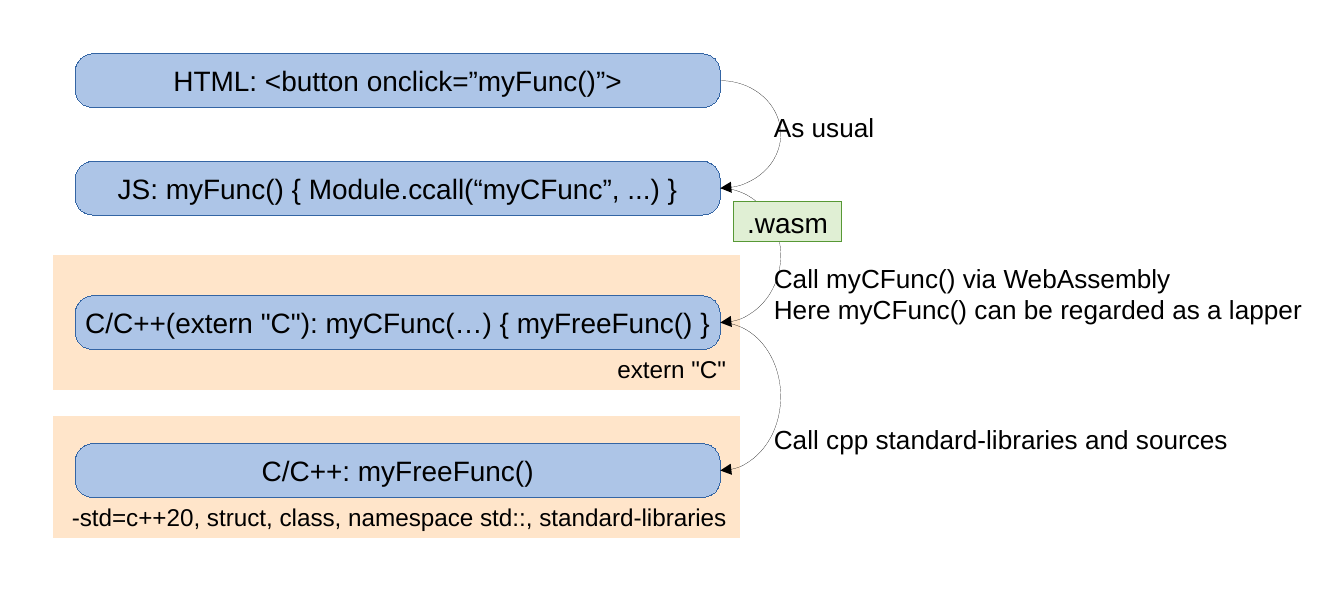
"""Builds a slide showing how an HTML button reaches C++ code through WebAssembly."""
import lxml.etree
import pptx
import pptx.dml.color
import pptx.enum.shapes
import pptx.enum.text
import pptx.oxml.ns
import pptx.util
from pptx.util import Inches

THEME = {
    "font": "Arial", "text": "000000",
    "step_fill": "ADC5E7", "step_line": "3465A4",
    "group_fill": "FFE5CA", "group_line": "FFE5CA",
    "badge_fill": "E0EFD4", "badge_line": "579835",
    "curve_line": "000000",
    "step_size": 15, "note_size": 14, "group_size": 13,
}
GROUPS = [
    (1.9, 1.0, 'extern "C"'),
    (3.1, 0.9, "-std=c++20, struct, class, namespace std::, standard-libraries"),
]
STEPS = [
    (0.4, "HTML: <button onclick=”myFunc()”>"),
    (1.2, "JS: myFunc() { Module.ccall(“myCFunc”, ...) }"),
    (2.2, 'C/C++(extern "C"): myCFunc(…) { myFreeFunc() }'),
    (3.3, "C/C++: myFreeFunc()"),
]
NOTES = [
    (0.78, 1.1, 0.39, "As usual"),
    (1.9, 4.2, 0.94, "Call myCFunc() via WebAssembly\nHere myCFunc() can be regarded as a lapper"),
    (3.1, 3.7, 0.66, "Call cpp standard-libraries and sources"),
]
GROUP_LEFT, GROUP_WIDTH = 0.4, 5.1
STEP_LEFT, STEP_WIDTH, STEP_HEIGHT = 0.56, 4.8, 0.4
NOTE_LEFT = 5.66
BADGE = (5.46, 1.5, 0.8, 0.3)
CURVE_BULGE = 0.45
QUARTER_TURN = 54

SHAPES = pptx.enum.shapes.MSO_SHAPE
ALIGN = pptx.enum.text.PP_ALIGN
ANCHOR = pptx.enum.text.MSO_ANCHOR


def color(name):
    return pptx.dml.color.RGBColor.from_string(THEME[name])


def write(shape, text, size, alignment):
    shape.text_frame.text = text
    for paragraph in shape.text_frame.paragraphs:
        paragraph.alignment = alignment
        for run in paragraph.runs:
            run.font.name = THEME["font"]
            run.font.size = pptx.util.Pt(THEME[size])
            run.font.color.rgb = color("text")


def add_hairline_shape(slide, kind, place, style):
    shape = slide.shapes.add_shape(kind, *map(Inches, place))
    shape.shadow.inherit = False
    shape.line.color.rgb = color(style + "_line")
    shape.line.width = pptx.util.Pt(0)
    shape._element.remove(shape._element.find(pptx.oxml.ns.qn("p:style")))
    return shape


def add_box(slide, kind, place, style, text, size, alignment=ALIGN.CENTER, anchor=ANCHOR.MIDDLE):
    shape = add_hairline_shape(slide, kind, place, style)
    shape.fill.solid()
    shape.fill.fore_color.rgb = color(style + "_fill")
    shape.text_frame.word_wrap = False
    shape.text_frame.vertical_anchor = anchor
    write(shape, text, size, alignment)
    return shape


def add_curve(slide, start, end):
    left = STEP_LEFT + STEP_WIDTH - CURVE_BULGE
    place = (left, start + STEP_HEIGHT / 2, 2 * CURVE_BULGE, end - start)
    curve = add_hairline_shape(slide, SHAPES.ARC, place, "curve")
    curve.fill.background()
    curve.adjustments[1] = QUARTER_TURN
    outline = curve._element.spPr.find(pptx.oxml.ns.qn("a:ln"))
    lxml.etree.SubElement(outline, pptx.oxml.ns.qn("a:tailEnd"), type="triangle")


def add_note(slide, top, width, height, text):
    box = slide.shapes.add_textbox(*map(Inches, (NOTE_LEFT, top, width, height)))
    box.text_frame.word_wrap = True
    box.text_frame.auto_size = pptx.enum.text.MSO_AUTO_SIZE.SHAPE_TO_FIT_TEXT
    write(box, text, "note_size", ALIGN.LEFT)


def main():
    presentation = pptx.Presentation()
    presentation.slide_width, presentation.slide_height = Inches(10), Inches(4.5)
    slide = presentation.slides.add_slide(presentation.slide_layouts[6])
    for top, height, text in GROUPS:
        add_box(slide, SHAPES.RECTANGLE, (GROUP_LEFT, top, GROUP_WIDTH, height),
                "group", text, "group_size", ALIGN.RIGHT, ANCHOR.BOTTOM)
    for top, text in STEPS:
        step = add_box(slide, SHAPES.ROUNDED_RECTANGLE, (STEP_LEFT, top, STEP_WIDTH, STEP_HEIGHT),
                       "step", text, "step_size")
        step.adjustments[0] = 0.33
    for (start, _), (end, _) in zip(STEPS, STEPS[1:]):
        add_curve(slide, start, end)
    for note in NOTES:
        add_note(slide, *note)
    add_box(slide, SHAPES.RECTANGLE, BADGE, "badge", ".wasm", "step_size")
    presentation.save("out.pptx")


if __name__ == "__main__":
    main()
